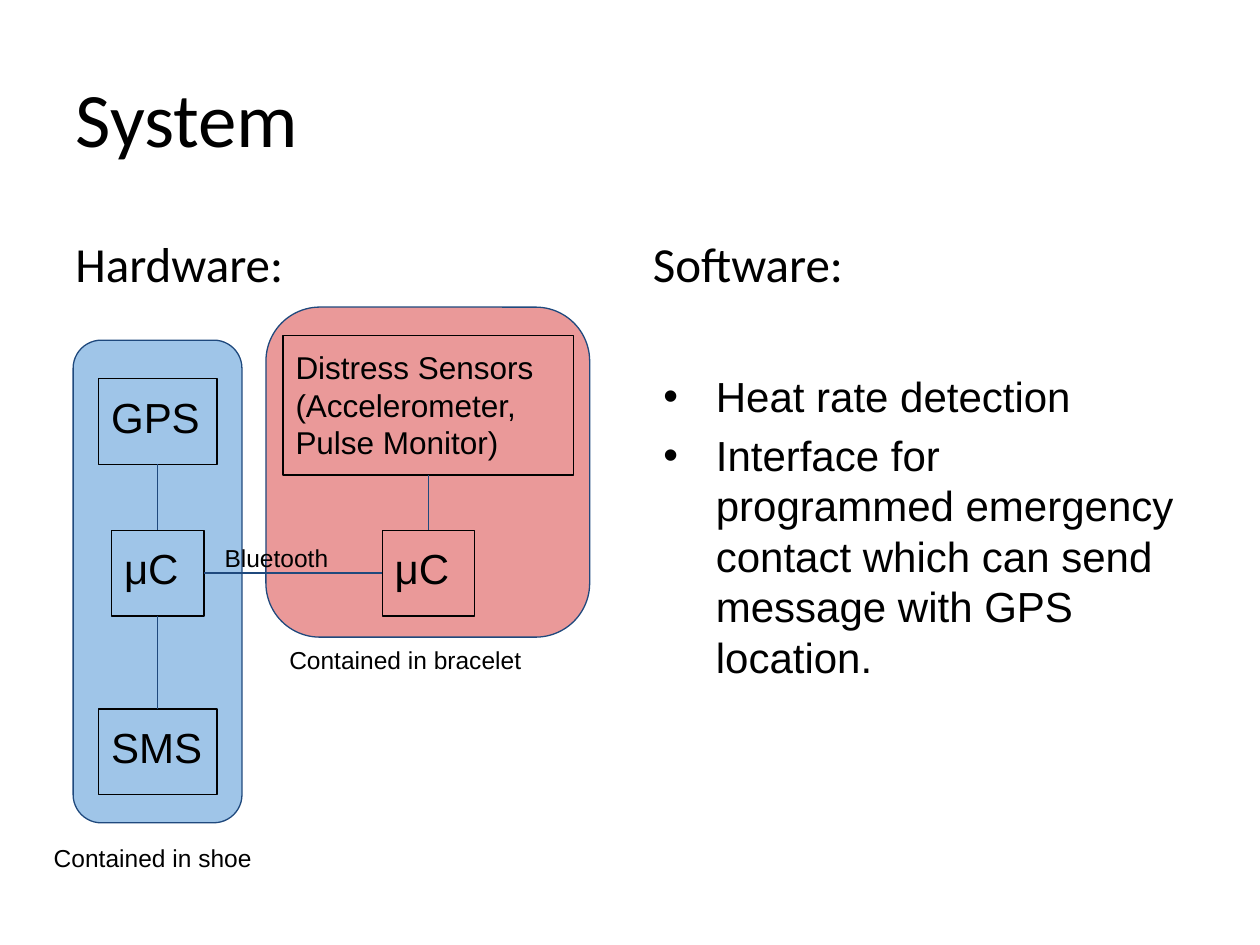
from dataclasses import dataclass

from lxml.etree import SubElement
from pptx import Presentation
from pptx.dml.color import RGBColor
from pptx.enum.shapes import MSO_CONNECTOR as Link, MSO_SHAPE as Kind
from pptx.enum.text import MSO_ANCHOR as Anchor, PP_ALIGN as Align
from pptx.oxml.ns import qn
from pptx.util import Pt

BLACK, NAVY = "000000", "1F497D"
TOP, LEFT, BASE, RIGHT = range(4)


@dataclass
class Box:
    left: float
    top: float
    width: float
    height: float
    text: str = ""
    size: float = 24
    font: str = "Arial"
    fill: str = ""

    def area(self) -> list:
        return [Pt(n) for n in (self.left, self.top, self.width, self.height)]


def paint(color, tone: str) -> None:
    color.rgb = RGBColor.from_string(tone)


def setup(frame, anchor=Anchor.TOP) -> None:
    frame.word_wrap = True
    frame.vertical_anchor = anchor
    frame.margin_left = frame.margin_right = Pt(7.2)
    frame.margin_top = frame.margin_bottom = Pt(7.2)


def write(para, text: str, size: float, font: str, gap: float = 0) -> None:
    para.alignment = Align.LEFT
    para.space_before = Pt(gap)
    run = para.add_run()
    run.text = text
    run.font.size = Pt(size)
    run.font.name = font
    paint(run.font.color, BLACK)


def stroke(line, tone: str) -> None:
    line.width = Pt(0.75)
    paint(line.color, tone)


def draw(slide, box: Box, kind=Kind.RECTANGLE, edge: str = BLACK):
    shape = slide.shapes.add_shape(kind, *box.area())
    shape.shadow.inherit = False
    stroke(shape.line, edge)
    if box.fill:
        shape.fill.solid()
        paint(shape.fill.fore_color, box.fill)
    else:
        shape.fill.background()
    if box.text:
        setup(shape.text_frame)
        write(shape.text_frame.paragraphs[0], box.text, box.size, box.font)
    return shape


def label(slide, box: Box, gap: float = 0):
    frame = slide.shapes.add_textbox(*box.area()).text_frame
    setup(frame)
    write(frame.paragraphs[0], box.text, box.size, box.font, gap)
    return frame


def bullet(frame, text: str, gap: float) -> None:
    para = frame.add_paragraph()
    write(para, text, 24, "Arial", gap)
    props = para._p.get_or_add_pPr()
    props.set("marL", str(Pt(36)))
    props.set("indent", str(Pt(-30)))
    SubElement(props, qn("a:buFont")).set("typeface", "Arial")
    SubElement(props, qn("a:buChar")).set("char", "•")


def join(slide, start, out: int, end, into: int) -> None:
    line = slide.shapes.add_connector(Link.STRAIGHT, 0, 0, 0, 0)
    line.begin_connect(start, out)
    line.end_connect(end, into)
    stroke(line.line, NAVY)
    SubElement(line._element.spPr, qn("a:effectLst"))


def node(slide, mid: float, top: float, width: float, text: str,
         height: float = 49, size: float = 24):
    return draw(slide, Box(mid - width / 2, top, width, height, text, size))


def main() -> None:
    deck = Presentation()
    deck.slide_width, deck.slide_height = Pt(720), Pt(540)
    slide = deck.slides.add_slide(deck.slide_layouts[5])

    for zone in (Box(41.8, 194.4, 96.5, 275.8, fill="9FC5E8"),
                 Box(152, 175.5, 185, 188.6, fill="EA9999")):
        draw(slide, zone, Kind.ROUNDED_RECTANGLE, NAVY)

    title = slide.shapes.title
    title.left, title.top, title.width, title.height = Box(36, 21.6, 648, 90).area()
    setup(title.text_frame, Anchor.MIDDLE)
    write(title.text_frame.paragraphs[0], "System", 44, "Calibri")

    label(slide, Box(36, 126, 318, 356.4, "Hardware:", 28, "Calibri"), 5.6)
    soft = label(slide, Box(366, 126, 318, 356.4, "Software:", 28, "Calibri"), 5.6)
    bullet(soft, "Heat rate detection", 45)
    bullet(soft, "Interface for programmed emergency contact "
           "which can send message with GPS location.", 4.8)

    shoe, band, row = 90.2, 244.8, 303
    gps = node(slide, shoe, 216.3, 67.6, "GPS")
    chip = node(slide, shoe, row, 52.8, "μC")
    sms = node(slide, shoe, 405.2, 67.6, "SMS")
    sense = node(slide, band, 191.6, 166, "Distress Sensors (Accelerometer, Pulse Monitor)", 79.8, 18)
    mate = node(slide, band, row, 52.8, "μC")

    join(slide, gps, BASE, chip, TOP)
    join(slide, chip, BASE, sms, TOP)
    join(slide, chip, RIGHT, mate, LEFT)
    join(slide, sense, BASE, mate, TOP)

    for note in (Box(121.2, row, 75.6, 27.4, "Bluetooth", 14),
                 Box(23.6, 474.8, 133.2, 31, "Contained in shoe", 14),
                 Box(158.2, 361.6, 173.5, 31, "Contained in bracelet", 14)):
        label(slide, note)

    deck.save("out.pptx")


if __name__ == "__main__":
    main()
